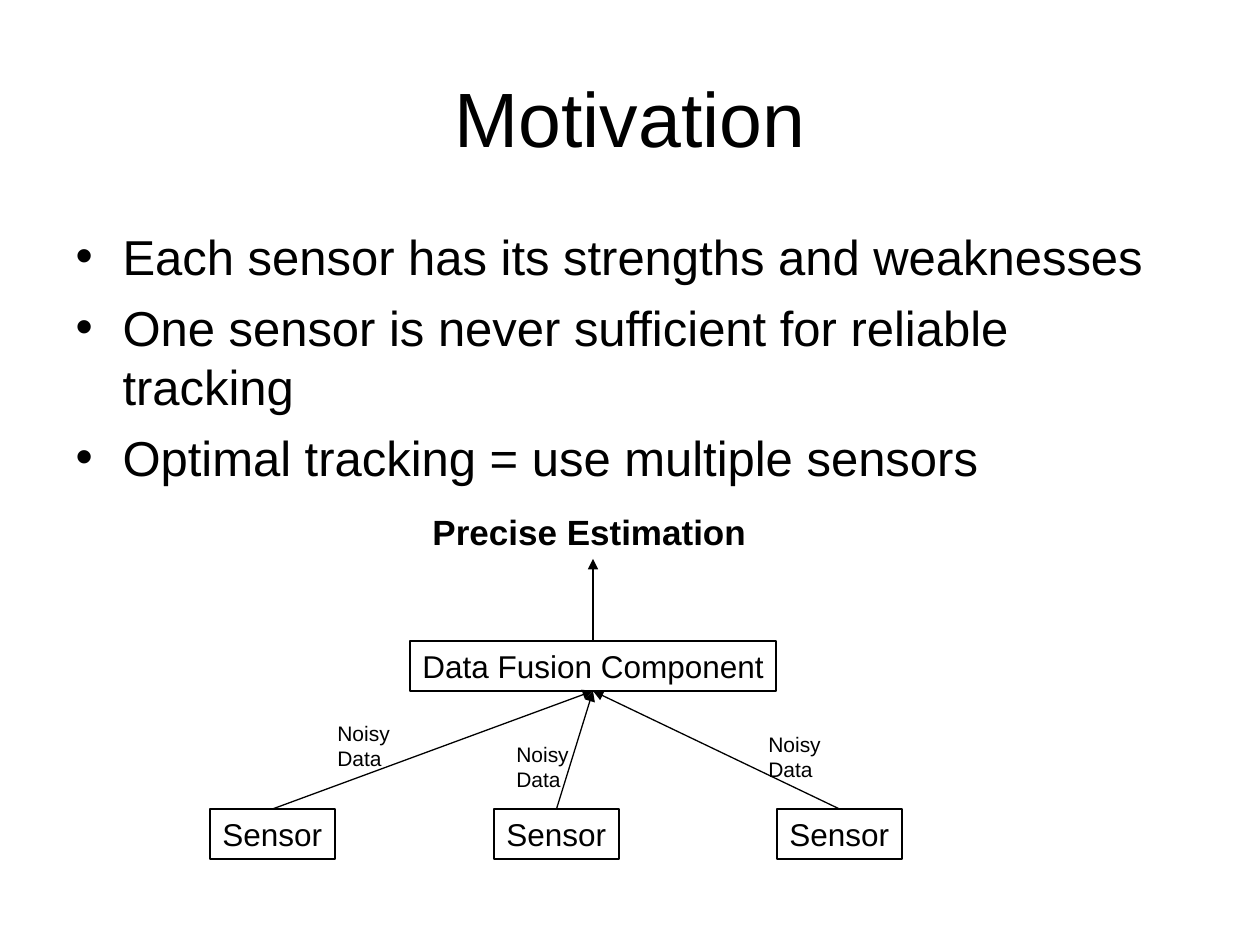
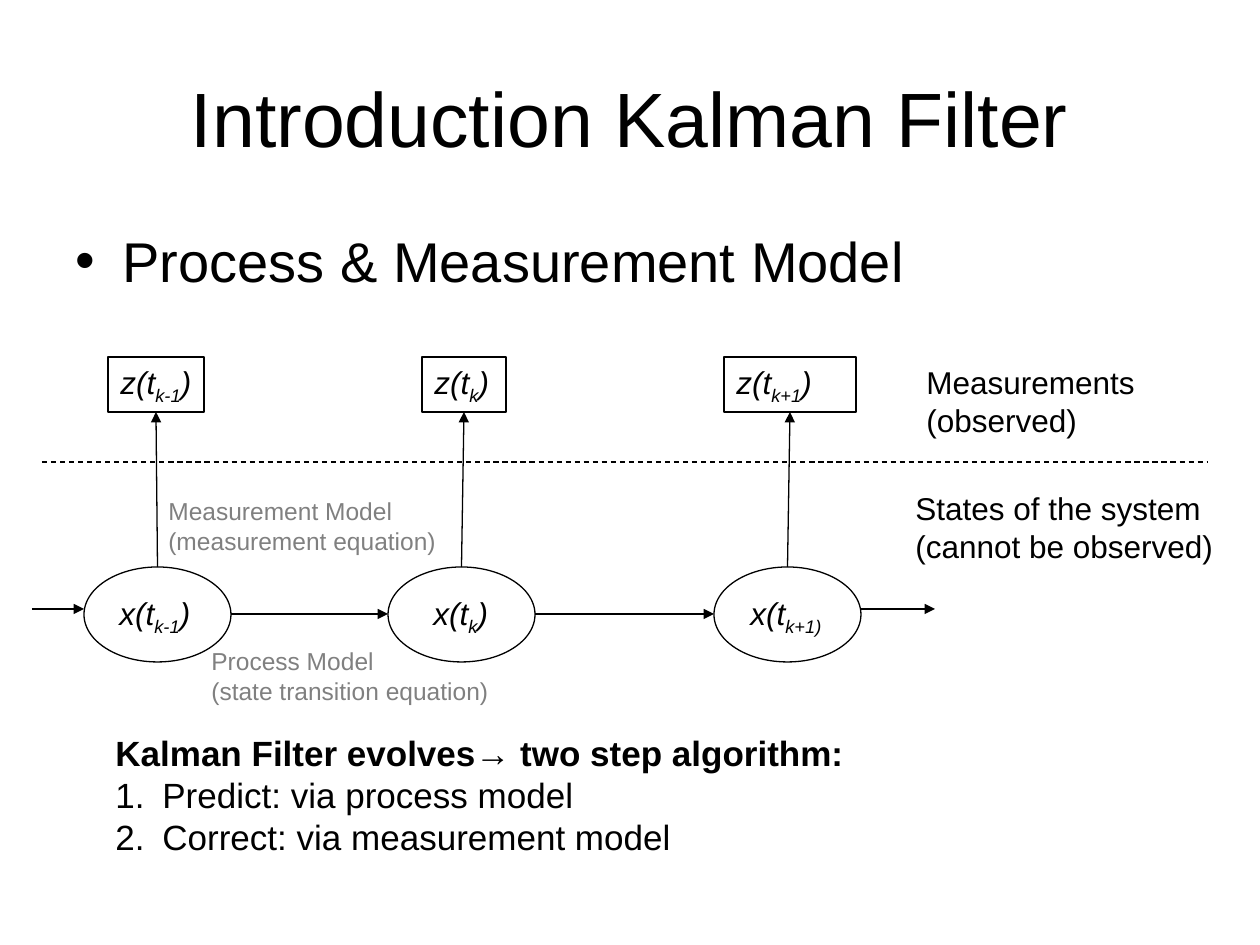
from lxml.etree import SubElement
from pptx import Presentation
from pptx.dml.color import RGBColor
from pptx.enum.dml import MSO_LINE
from pptx.enum.shapes import MSO_CONNECTOR, MSO_SHAPE
from pptx.enum.text import MSO_ANCHOR, MSO_AUTO_SIZE, PP_ALIGN
from pptx.oxml.ns import qn
from pptx.util import Emu, Pt

COLORS = {"ink": "000000", "note": "808080", "paper": "FFFFFF"}
FONT = "Arial"
EMU_PER_PX = 914400 / 126
INDENT = 47


def px(n):
    """Turn px into EMU."""
    return Emu(round(n * EMU_PER_PX))


def rgb(name):
    """Look up a colour by name."""
    return RGBColor.from_string(COLORS[name])


def write(p, text, size, color="ink", bold=False, italic=False):
    """Fill a paragraph, setting the parts between underscores as subscripts."""
    for i, part in enumerate(text.split("_")):
        if not part:
            continue
        r = p.add_run()
        r.text = part
        r.font.name, r.font.size = FONT, Pt(size)
        r.font.bold, r.font.italic = bold, italic
        r.font.color.rgb = rgb(color)
        if i % 2:
            r._r.get_or_add_rPr().set("baseline", "-25000")


def hang(p, tag, **attrs):
    """Give a paragraph a hanging indent and a bullet or number."""
    pPr = p._p.get_or_add_pPr()
    pPr.set("marL", str(px(INDENT)))
    pPr.set("indent", str(-px(INDENT)))
    SubElement(pPr, qn("a:buFont")).set("typeface", FONT)
    bu = SubElement(pPr, qn(tag))
    for key, value in attrs.items():
        bu.set(key, value)


def place(sp, x, y, w, h):
    """Move and size a shape."""
    sp.left, sp.top, sp.width, sp.height = px(x), px(y), px(w), px(h)


def add_slide(prs, title, bullets, size, body_h):
    """Add a slide with a centred title and a bullet list."""
    s = prs.slides.add_slide(prs.slide_layouts[1])
    s.background.fill.solid()
    s.background.fill.fore_color.rgb = rgb("paper")
    place(s.shapes.title, 63, 38, 1134, 158)
    tf = s.shapes.title.text_frame
    tf.auto_size = MSO_AUTO_SIZE.NONE
    tf.vertical_anchor = MSO_ANCHOR.MIDDLE
    tf.paragraphs[0].alignment = PP_ALIGN.CENTER
    write(tf.paragraphs[0], title, 44)

    body = s.placeholders[1]
    place(body, 63, 220, 1134, body_h)
    tf = body.text_frame
    tf.auto_size = MSO_AUTO_SIZE.NONE
    for i, text in enumerate(bullets):
        p = tf.add_paragraph() if i else tf.paragraphs[0]
        p.space_before = Pt(size / 4 if i else 0)
        hang(p, "a:buChar", char="•")
        write(p, text, size)
    return s


def fill_lines(sp, lines, size, **style):
    """Write left-aligned lines into a shape, with room to spare on the right."""
    tf = sp.text_frame
    tf.word_wrap = True
    tf.auto_size = MSO_AUTO_SIZE.NONE
    tf.vertical_anchor = MSO_ANCHOR.TOP
    tf.margin_right = 0
    for i, line in enumerate(lines):
        p = tf.add_paragraph() if i else tf.paragraphs[0]
        p.alignment = PP_ALIGN.LEFT
        write(p, line, size, **style)


def add_label(s, x, y, w, h, lines, size=18, **style):
    """Add a text box."""
    sp = s.shapes.add_textbox(px(x), px(y), px(w), px(h))
    fill_lines(sp, lines, size, **style)
    return sp


def add_outline(s, kind, x, y, w, h):
    """Add an unfilled shape with a thin line."""
    sp = s.shapes.add_shape(kind, px(x), px(y), px(w), px(h))
    sp.shadow.inherit = False
    sp.fill.background()
    sp.line.color.rgb = rgb("ink")
    sp.line.width = Pt(0.75)
    return sp


def add_box(s, x, y, w, h, text, **style):
    """Add an outlined box with one line of text."""
    sp = add_outline(s, MSO_SHAPE.RECTANGLE, x, y, w, h)
    fill_lines(sp, [text], 18, **style)
    return sp


def add_line(s, x1, y1, x2, y2, arrow=True):
    """Add a straight arrow, or a dashed line without a head."""
    c = s.shapes.add_connector(MSO_CONNECTOR.STRAIGHT, px(x1), px(y1), px(x2), px(y2))
    c.line.color.rgb = rgb("ink")
    c.line.width = Pt(0.75)
    if arrow:
        SubElement(c.line._get_or_add_ln(), qn("a:tailEnd")).set("type", "triangle")
    else:
        c.line.dash_style = MSO_LINE.DASH
    SubElement(c._element.spPr, qn("a:effectLst"))
    return c


def add_motivation(prs):
    """Build the sensor fusion slide."""
    s = add_slide(prs, "Motivation", [
        "Each sensor has its strengths and weaknesses",
        "One sensor is never sufficient for reliable tracking",
        "Optimal tracking = use multiple sensors"], 28, 325)
    fusion = add_box(s, 410, 641, 366, 50, "Data Fusion Component")
    estimate = add_label(s, 420, 504, 346, 55, ["Precise Estimation"], 20, bold=True)
    c = add_line(s, 593, 641, 593, 559)
    c.begin_connect(fusion, 0)
    c.end_connect(estimate, 2)
    for x in (210, 494, 777):
        sensor = add_box(s, x, 809, 125, 50, "Sensor")
        c = add_line(s, x + 62, 809, 593, 691)
        c.begin_connect(sensor, 0)
        c.end_connect(fusion, 2)
    for x, y in ((325, 714), (504, 735), (756, 725)):
        add_label(s, x, y, 77, 63, ["Noisy", "Data"], 12)


def add_kalman(prs):
    """Build the process and measurement model slide."""
    s = add_slide(prs, "Introduction Kalman Filter",
                  ["Process & Measurement Model"], 32, 624)
    state_w, state_y, flow_y = 147, 567, 614
    steps = [
        (84, 107, 96, "x(t_k-1_)", 108, 96, "z(t_k-1_)"),
        (388, 421, 79, "x(t_k_)", 422, 84, "z(t_k_)"),
        (714, 738, 96, "x(t_k+1)_", 724, 132, "z(t_k+1_)")]
    for x, label_x, label_w, state, box_x, box_w, measure in steps:
        add_outline(s, MSO_SHAPE.OVAL, x, state_y, state_w, 95)
        add_label(s, label_x, 588, label_w, 55, [state], italic=True)
        box = add_box(s, box_x, 357, box_w, 55, measure, italic=True)
        c = add_line(s, x + state_w / 2, state_y, box_x + box_w / 2, 412)
        c.end_connect(box, 2)
    for left, right in zip(steps, steps[1:]):
        add_line(s, left[0] + state_w, flow_y, right[0], flow_y)
    for x1, x2 in ((32, 84), (861, 935)):
        add_line(s, x1, 609, x2, 609)

    add_line(s, 42, 462, 1207, 462, arrow=False)
    add_label(s, 914, 357, 233, 88, ["Measurements", "(observed)"])
    add_label(s, 903, 483, 323, 88, ["States of the system", "(cannot be observed)"])
    add_label(s, 199, 640, 302, 72, ["Process Model", "(state transition equation)"],
              14, color="note")
    add_label(s, 156, 490, 292, 72, ["Measurement Model", "(measurement equation)"],
              14, color="note")

    summary = add_label(s, 103, 725, 891, 139,
                        ["Kalman Filter evolves→ two step algorithm:"], 20, bold=True)
    for step in ("Predict: via process model", "Correct: via measurement model"):
        p = summary.text_frame.add_paragraph()
        hang(p, "a:buAutoNum", type="arabicPeriod")
        write(p, step, 20)


def main():
    """Build and save the presentation."""
    prs = Presentation()
    prs.slide_width, prs.slide_height = px(1260), px(945)
    add_motivation(prs)
    add_kalman(prs)
    prs.save("out.pptx")


if __name__ == "__main__":
    main()
